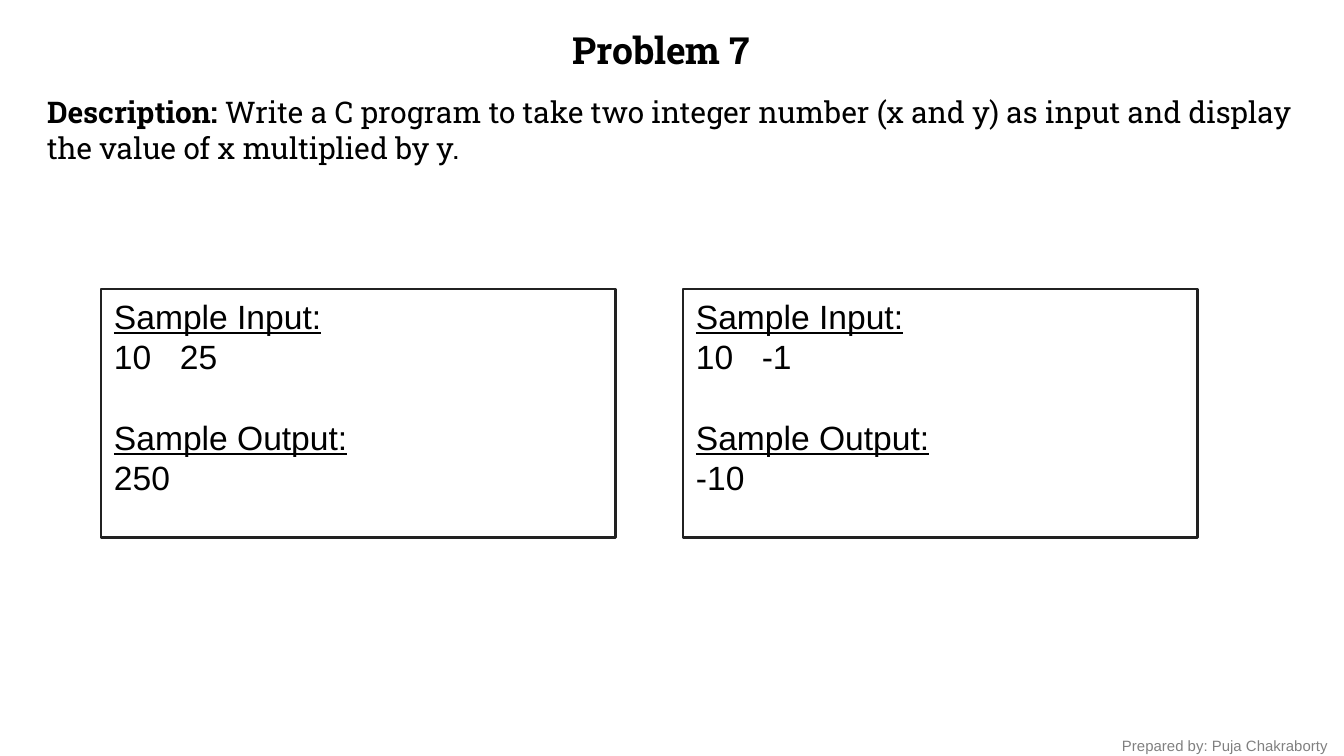
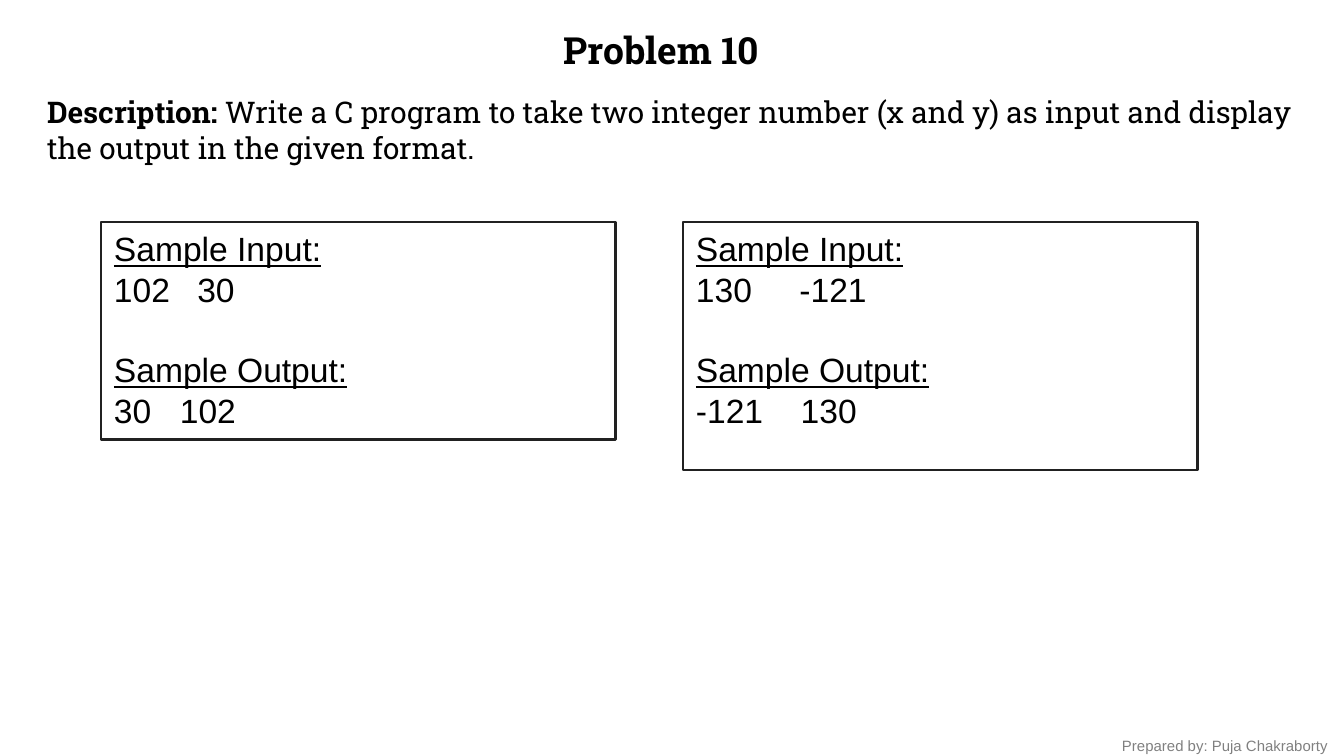
import pptx
import pptx.dml.color
import pptx.enum.shapes
import pptx.enum.text
import pptx.oxml.ns
import pptx.util
from lxml import etree
from pptx.util import Inches

BLACK = pptx.dml.color.RGBColor(0x00, 0x00, 0x00)
GREY = pptx.dml.color.RGBColor(0x80, 0x80, 0x80)
OUTLINE = pptx.dml.color.RGBColor(0x21, 0x21, 0x21)
HEADING_FONT = "Roboto Slab"
BODY_FONT = "Arial"

TITLE_BOX = (2.17, 0.15, 5.5, 0.44)
DESCRIPTION_BOX = (0.25, 0.65, 9.58, 0.64)
FOOTER_BOX = (8.25, 5.43, 1.83, 0.24)
SAMPLE_LEFT, SAMPLE_PITCH, SAMPLE_WIDTH = 0.75, 4.33, 3.83
BLANK_LINE = 21.6

# Each sample: box height, then input and output as (values, tab stop).
PROBLEMS = [
    {
        "title": "Problem 7",
        "task": "Write a C program to take two integer number (x and y) as input "
                "and display the value of x multiplied by y.",
        "top": 2.15,
        "samples": [
            (1.85, (["10", "25"], 0.49), (["250"], None)),
            (1.85, (["10", "-1"], 0.49), (["-10"], None)),
        ],
    },
    {
        "title": "Problem 10",
        "task": "Write a C program to take two integer number (x and y) as input "
                "and display the output in the given format.",
        "top": 1.65,
        "samples": [
            (1.62, (["102", "30"], 0.62), (["30", "102"], 0.49)),
            (1.85, (["130", "-121"], 0.77), (["-121", "130"], 0.78)),
        ],
    },
]


def add_span(para, text, size, font, color=BLACK, bold=False, underline=False):
    """Add one formatted run to a paragraph."""
    span = para.add_run()
    span.text = text
    span.font.size = pptx.util.Pt(size)
    span.font.name = font
    span.font.color.rgb = color
    span.font.bold = bold
    span.font.underline = underline


def place(shape, box):
    """Move a shape to a box given in inches."""
    shape.left, shape.top, shape.width, shape.height = map(Inches, box)


def prepare_frame(shape):
    """Set wrapping and top anchoring, and return the text frame."""
    frame = shape.text_frame
    frame.word_wrap = True
    frame.auto_size = pptx.enum.text.MSO_AUTO_SIZE.NONE
    frame.vertical_anchor = pptx.enum.text.MSO_ANCHOR.TOP
    return frame


def set_tab_stop(para, position):
    """Give a paragraph one left tab stop, in inches."""
    properties = para._p.get_or_add_pPr()
    stops = etree.SubElement(properties, pptx.oxml.ns.qn("a:tabLst"))
    etree.SubElement(stops, pptx.oxml.ns.qn("a:tab"),
                     pos=str(Inches(position)), algn="l")


def fill_title(page, text, box):
    """Place the centred title."""
    place(page.shapes.title, box)
    para = prepare_frame(page.shapes.title).paragraphs[0]
    para.alignment = pptx.enum.text.PP_ALIGN.CENTER
    add_span(para, text, 20, HEADING_FONT, bold=True)


def fill_description(page, task, box):
    """Place the task in the body placeholder, without a bullet."""
    body = page.placeholders[1]
    place(body, box)
    para = prepare_frame(body).paragraphs[0]
    para.space_before = pptx.util.Pt(0)
    properties = para._p.get_or_add_pPr()
    properties.set("marL", "0")
    properties.set("indent", "0")
    etree.SubElement(properties, pptx.oxml.ns.qn("a:buNone"))
    add_span(para, "Description: ", 16, HEADING_FONT, bold=True)
    add_span(para, task, 16, HEADING_FONT)


def add_footer(page, box):
    """Add the author line at the lower right."""
    footer = page.shapes.add_textbox(*map(Inches, box))
    para = prepare_frame(footer).paragraphs[0]
    add_span(para, "Prepared by: Puja Chakraborty", 8, BODY_FONT, GREY)


def add_sample(page, sample_input, sample_output, box):
    """Add an outlined box with one sample input and its output."""
    panel = page.shapes.add_shape(
        pptx.enum.shapes.MSO_SHAPE.RECTANGLE, *map(Inches, box))
    panel.shadow.inherit = False
    panel.fill.background()
    panel.line.color.rgb = OUTLINE
    panel.line.width = pptx.util.Pt(1.25)
    frame = prepare_frame(panel)

    heading = frame.paragraphs[0]
    for label, (values, stop) in (("Sample Input:", sample_input),
                                  ("Sample Output:", sample_output)):
        if label == "Sample Output:":
            heading = frame.add_paragraph()
            heading.space_before = pptx.util.Pt(BLANK_LINE)
        line = frame.add_paragraph()
        for para in (heading, line):
            para.alignment = pptx.enum.text.PP_ALIGN.LEFT
        add_span(heading, label, 18, BODY_FONT, underline=True)
        if stop is not None:
            set_tab_stop(line, stop)
        add_span(line, "\t".join(values), 18, BODY_FONT)


def add_problem(deck, problem):
    """Add one problem slide: title, task, footer and its samples in a row."""
    page = deck.slides.add_slide(deck.slide_layouts[1])
    fill_title(page, problem["title"], TITLE_BOX)
    fill_description(page, problem["task"], DESCRIPTION_BOX)
    add_footer(page, FOOTER_BOX)
    for column, (height, given, result) in enumerate(problem["samples"]):
        left = SAMPLE_LEFT + column * SAMPLE_PITCH
        add_sample(page, given, result,
                   (left, problem["top"], SAMPLE_WIDTH, height))


def main():
    """Build and save the deck."""
    deck = pptx.Presentation()
    deck.slide_width = Inches(10)
    deck.slide_height = Inches(5.625)
    for problem in PROBLEMS:
        add_problem(deck, problem)
    deck.save("out.pptx")


main()
